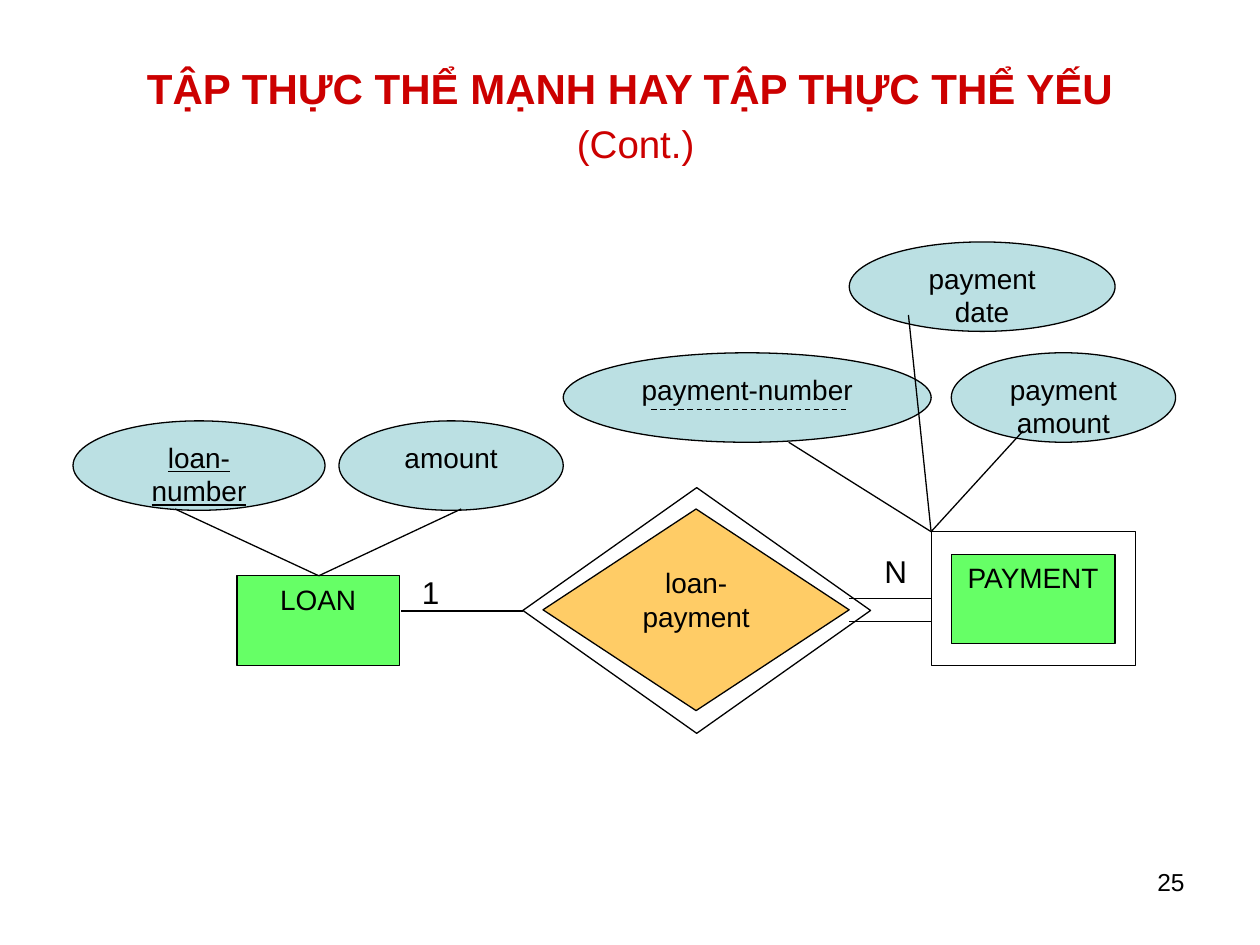
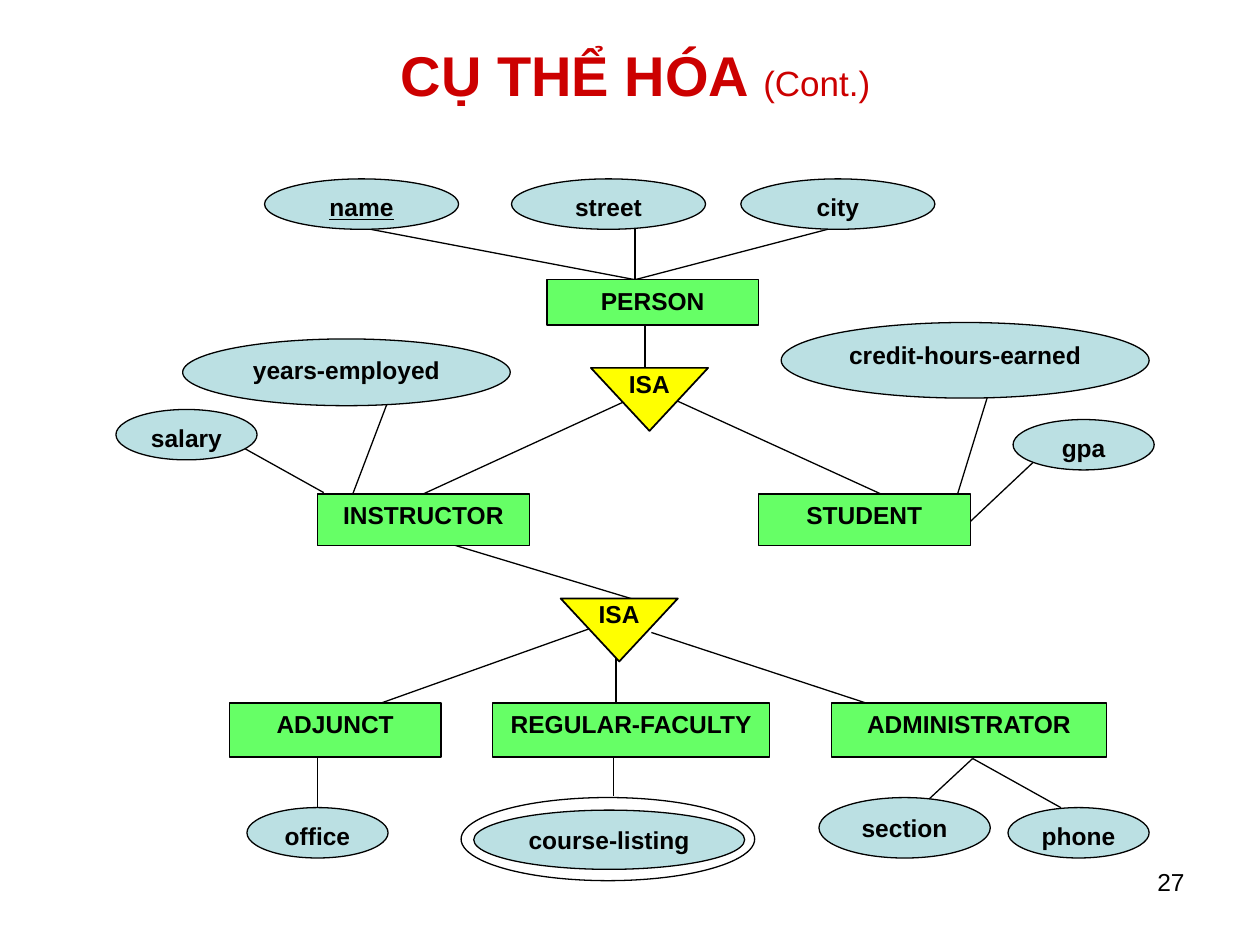
"""Build two entity-relationship diagram slides."""
import dataclasses

import lxml.etree
import pptx
import pptx.dml.color
import pptx.enum.dml
import pptx.enum.shapes
import pptx.enum.text
import pptx.oxml.ns
import pptx.presentation
import pptx.slide
import pptx.text.text
import pptx.util

SCALE = 9144
FORM = pptx.enum.shapes.MSO_SHAPE
ALIGN = pptx.enum.text.PP_ALIGN
ANCHOR = pptx.enum.text.MSO_ANCHOR
DASH = pptx.enum.dml.MSO_LINE


@dataclasses.dataclass(frozen=True)
class Theme:
    font: str = "Arial"
    ink: str = "000000"
    red: str = "CC0000"
    white: str = "FFFFFF"
    green: str = "66FF66"
    blue: str = "BBE0E3"
    gold: str = "FFCC66"
    yellow: str = "FFFF00"
    small: int = 14
    body: int = 16
    large: int = 18
    thin: float = 0.75
    thick: float = 1


@dataclasses.dataclass(frozen=True)
class Kind:
    form: FORM
    fill: str
    weight: float = Theme.thin
    anchor: ANCHOR = ANCHOR.TOP
    wrap: bool = True


@dataclasses.dataclass(frozen=True)
class Node:
    kind: Kind
    left: int
    top: int
    width: int
    height: int
    text: str = ""
    key: bool = False


@dataclasses.dataclass(frozen=True)
class Link:
    x1: int
    y1: int
    x2: int
    y2: int
    dash: DASH = DASH.SOLID


THEME = Theme()
ENTITY = Kind(FORM.RECTANGLE, THEME.green)
FIELD = Kind(FORM.OVAL, THEME.blue)
BOND = Kind(FORM.DIAMOND, THEME.gold)
ISA = Kind(FORM.FLOWCHART_MERGE, THEME.yellow, THEME.thick, ANCHOR.MIDDLE, False)
FRAME = Kind(FORM.RECTANGLE, THEME.white)
HALO = Kind(FORM.DIAMOND, THEME.white)
RING = Kind(FORM.OVAL, THEME.white)

LOAN_NODES = [
    Node(FRAME, 739, 422, 162, 106),
    Node(HALO, 415, 387, 276, 195),
    Node(ENTITY, 188, 457, 129, 71, "LOAN"),
    Node(FIELD, 58, 334, 200, 71, "loan-number", key=True),
    Node(FIELD, 269, 334, 178, 71, "amount"),
    Node(ENTITY, 755, 440, 130, 71, "PAYMENT"),
    Node(FIELD, 447, 280, 292, 71, "payment-number"),
    Node(BOND, 431, 404, 243, 160, "loan-payment"),
    Node(FIELD, 674, 192, 211, 71, "payment date"),
    Node(FIELD, 755, 280, 178, 71, "payment amount"),
]
LOAN_LINKS = [
    Link(415, 485, 318, 485),
    Link(139, 404, 253, 457),
    Link(253, 457, 366, 404),
    *(Link(739, y, 674, y) for y in (475, 493)),
    *(Link(739, 422, x, y) for x, y in ((721, 250), (626, 351), (812, 342))),
    Link(517, 325, 674, 325, DASH.DASH),
]

PERSON_NODES = [
    Node(RING, 366, 633, 233, 66),
    Node(FIELD, 210, 142, 154, 40, "name", key=True),
    Node(FIELD, 406, 142, 154, 40, "street"),
    Node(FIELD, 588, 142, 154, 40, "city"),
    Node(FIELD, 145, 269, 260, 53, "years-employed"),
    Node(FIELD, 620, 256, 292, 60, "credit-hours-earned"),
    Node(FIELD, 92, 325, 112, 40, "salary"),
    Node(FIELD, 804, 333, 112, 40, "gpa"),
    Node(FIELD, 196, 641, 112, 40, "office"),
    Node(FIELD, 376, 643, 215, 47, "course-listing"),
    Node(FIELD, 650, 633, 136, 48, "section"),
    Node(FIELD, 800, 641, 112, 40, "phone"),
    Node(ISA, 469, 292, 93, 50, "ISA"),
    Node(ISA, 445, 475, 93, 50, "ISA"),
    Node(ENTITY, 434, 222, 168, 36, "PERSON"),
    Node(ENTITY, 252, 392, 168, 41, "INSTRUCTOR"),
    Node(ENTITY, 602, 392, 168, 41, "STUDENT"),
    Node(ENTITY, 182, 558, 168, 43, "ADJUNCT"),
    Node(ENTITY, 391, 558, 220, 43, "REGULAR-FACULTY"),
    Node(ENTITY, 660, 558, 218, 43, "ADMINISTRATOR"),
]
PERSON_LINKS = [
    *(Link(x, 182, 504, 222) for x in (294, 504, 657)),
    Link(512, 252, 512, 292),
    Link(495, 319, 336, 392),
    Link(537, 318, 699, 392),
    Link(760, 392, 788, 301),
    Link(821, 366, 770, 414),
    Link(280, 392, 307, 321),
    Link(187, 352, 257, 391),
    Link(322, 421, 504, 476),
    Link(479, 495, 266, 571),
    Link(489, 521, 489, 571),
    Link(517, 502, 727, 571),
    Link(252, 602, 252, 641),
    Link(487, 600, 487, 632),
    *(Link(772, 602, x, 641) for x in (730, 842)),
]


def px(count: int) -> pptx.util.Emu:
    """Turn px into EMU."""
    return pptx.util.Emu(count * SCALE)


def tint(code: str) -> pptx.dml.color.RGBColor:
    """Turn a hex code into a colour."""
    return pptx.dml.color.RGBColor.from_string(code)


def write(frame: pptx.text.text.TextFrame, text: str, *, size: int,
          color: str = THEME.ink, bold: bool = False, under: bool = False,
          align: ALIGN = ALIGN.CENTER, anchor: ANCHOR = ANCHOR.TOP,
          wrap: bool = True) -> None:
    """Add a run to the first paragraph of a frame."""
    frame.word_wrap = wrap
    frame.vertical_anchor = anchor
    para = frame.paragraphs[0]
    para.alignment = align
    run = para.add_run()
    run.text = text
    font = run.font
    font.name, font.size = THEME.font, pptx.util.Pt(size)
    font.bold, font.underline = bold, under
    font.color.rgb = tint(color)


def box(slide: pptx.slide.Slide, left: int, top: int, width: int,
        height: int) -> pptx.text.text.TextFrame:
    """Add a text box and return its frame."""
    return slide.shapes.add_textbox(
        px(left), px(top), px(width), px(height)).text_frame


def title(slide: pptx.slide.Slide, top: int, head: str, size: int,
          tail_size: int, split: bool = False) -> None:
    """Write the title and its lighter tail."""
    frame = box(slide, 17, top, 975, 125)
    para = frame.paragraphs[0]
    para.line_spacing = 1.15
    write(frame, head, size=size, color=THEME.red, bold=True, anchor=ANCHOR.MIDDLE)
    if split:
        para.add_line_break()
    write(frame, "(Cont.)", size=tail_size, color=THEME.red, anchor=ANCHOR.MIDDLE)


def draw_node(slide: pptx.slide.Slide, node: Node, size: int, bold: bool) -> None:
    """Draw one shape of the diagram with its label."""
    kind = node.kind
    shape = slide.shapes.add_shape(
        kind.form, px(node.left), px(node.top), px(node.width), px(node.height))
    shape.shadow.inherit = False
    shape.fill.solid()
    shape.fill.fore_color.rgb = tint(kind.fill)
    shape.line.color.rgb = tint(THEME.ink)
    shape.line.width = pptx.util.Pt(kind.weight)
    if node.text:
        write(shape.text_frame, node.text, size=size, bold=bold, under=node.key,
              anchor=kind.anchor, wrap=kind.wrap)


def draw_link(slide: pptx.slide.Slide, link: Link) -> None:
    """Draw one line of the diagram."""
    line = slide.shapes.add_connector(
        pptx.enum.shapes.MSO_CONNECTOR.STRAIGHT,
        px(link.x1), px(link.y1), px(link.x2), px(link.y2))
    line.line.color.rgb = tint(THEME.ink)
    line.line.width = pptx.util.Pt(THEME.thin)
    line.line.dash_style = link.dash
    lxml.etree.SubElement(line._element.spPr, pptx.oxml.ns.qn("a:effectLst"))


def start(deck: pptx.presentation.Presentation, page: int) -> pptx.slide.Slide:
    """Add a blank slide with its page number."""
    slide = deck.slides.add_slide(deck.slide_layouts[6])
    write(box(slide, 717, 683, 233, 52), str(page), size=THEME.small,
          align=ALIGN.RIGHT)
    return slide


def loan(deck: pptx.presentation.Presentation) -> None:
    """Build the weak entity slide."""
    slide = start(deck, 25)
    title(slide, 25, "TẬP THỰC THỂ MẠNH HAY TẬP THỰC THỂ YẾU ", 24, 22, split=True)
    for node in LOAN_NODES:
        draw_node(slide, node, THEME.body, False)
    for link in LOAN_LINKS:
        draw_link(slide, link)
    for left, top, count in ((325, 450, "1"), (692, 433, "N")):
        write(box(slide, left, top, 50, 40), count, size=THEME.large,
              align=ALIGN.LEFT)


def person(deck: pptx.presentation.Presentation) -> None:
    """Build the specialization slide."""
    slide = start(deck, 27)
    title(slide, -8, "CỤ THỂ HÓA ", 32, 20)
    for link in PERSON_LINKS:
        draw_link(slide, link)
    for node in PERSON_NODES:
        draw_node(slide, node, THEME.small, True)


def main() -> None:
    """Build and save the deck."""
    deck = pptx.Presentation()
    deck.slide_width, deck.slide_height = px(1000), px(750)
    loan(deck)
    person(deck)
    deck.save("out.pptx")


if __name__ == "__main__":
    main()
